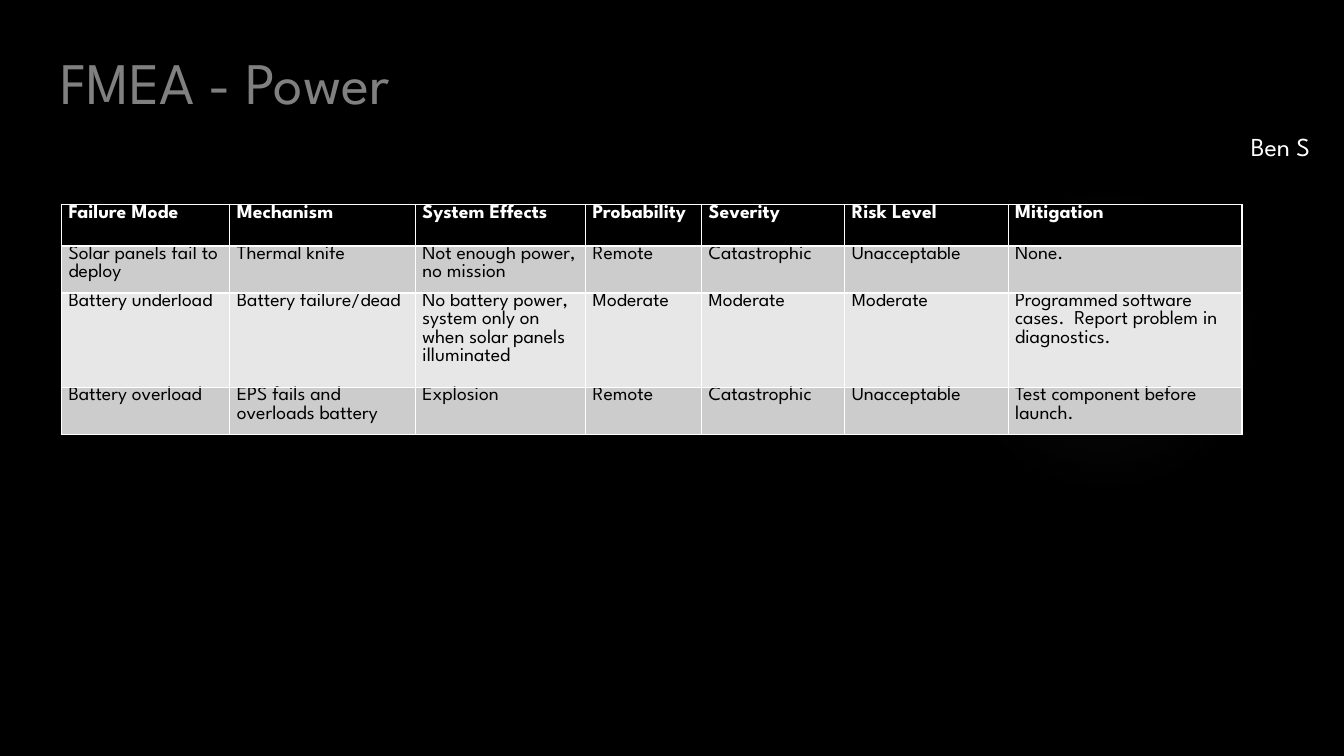
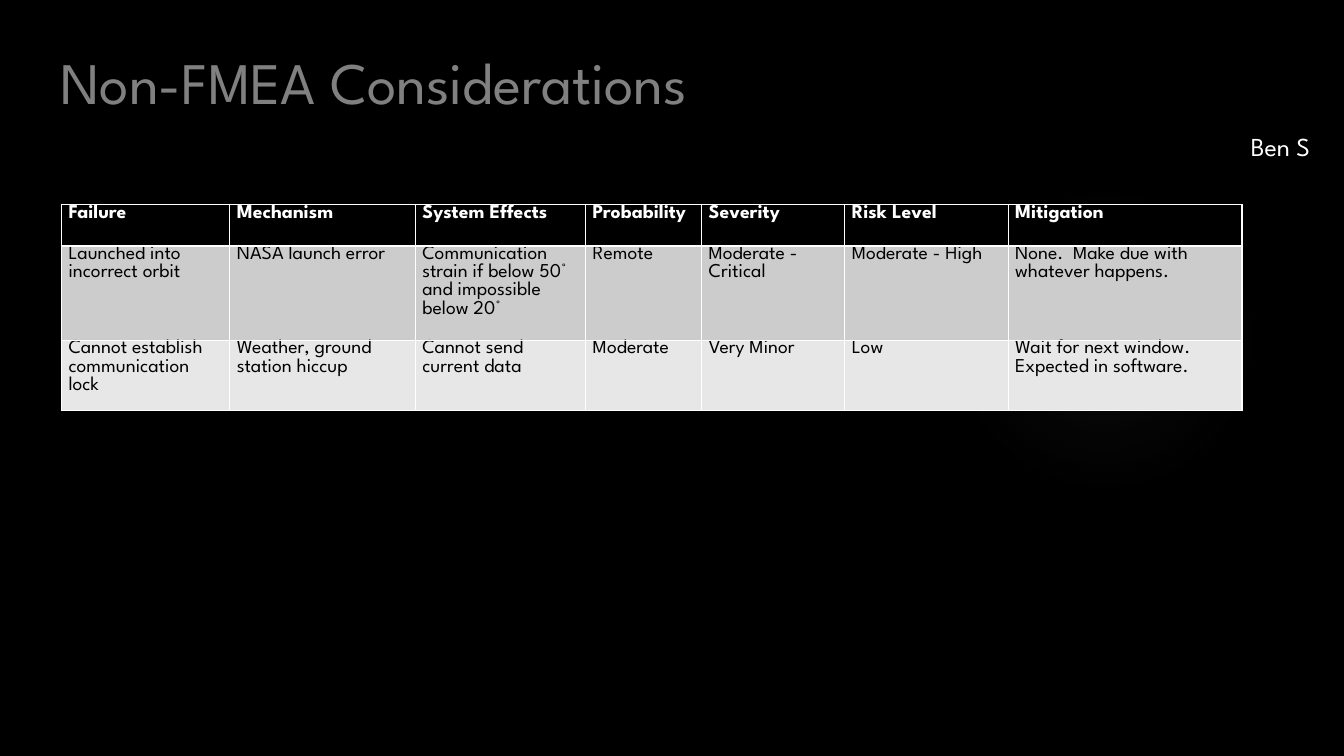
"""Build two failure-analysis slides, each with a title, a presenter and a table."""
from lxml.etree import SubElement
from pptx import Presentation
from pptx.dml.color import RGBColor
from pptx.enum.shapes import MSO_SHAPE
from pptx.enum.text import MSO_ANCHOR, PP_ALIGN
from pptx.oxml import parse_xml
from pptx.oxml.ns import nsdecls, qn
from pptx.util import Inches, Pt

BLACK = RGBColor(0x00, 0x00, 0x00)
WHITE = RGBColor(0xFF, 0xFF, 0xFF)
TITLE_GRAY = RGBColor(0x80, 0x80, 0x80)
GLOW_GRAY = RGBColor(0x66, 0x66, 0x66)
BANDS = (RGBColor(0xCC, 0xCC, 0xCC), RGBColor(0xE7, 0xE7, 0xE7))

PRESENTER = "Ben S"
SHARED_HEADINGS = ("Mechanism", "System Effects", "Probability", "Severity",
                   "Risk Level", "Mitigation")
PAGES = [
    {
        "title": "FMEA - Power",
        "first_heading": "Failure Mode",
        "rows": [
            ("Solar panels fail to deploy", "Thermal knife",
             "Not enough power, no mission", "Remote", "Catastrophic",
             "Unacceptable", "None."),
            ("Battery underload", "Battery failure/dead",
             "No battery power, system only on when solar panels illuminated",
             "Moderate", "Moderate", "Moderate",
             "Programmed software cases.  Report problem in diagnostics."),
            ("Battery overload", "EPS fails and overloads battery",
             "Explosion", "Remote", "Catastrophic", "Unacceptable",
             "Test component before launch."),
        ],
    },
    {
        "title": "Non-FMEA Considerations",
        "first_heading": "Failure",
        "rows": [
            ("Launched into incorrect orbit", "NASA launch error",
             "Communication strain if below 50° and impossible below 20°",
             "Remote", "Moderate - Critical", "Moderate - High",
             "None.  Make due with whatever happens."),
            ("Cannot establish communication lock",
             "Weather, ground station hiccup", "Cannot send current data",
             "Moderate", "Very Minor", "Low",
             "Wait for next window.  Expected in software."),
        ],
    },
]

FONT = "League Spartan"
TITLE_FONT = {"name": FONT, "size": Pt(42), "color": TITLE_GRAY}
PRESENTER_FONT = {"name": FONT, "size": Pt(18.5), "color": WHITE}
HEADING_FONT = {"name": FONT, "size": Pt(14), "color": WHITE, "bold": True}
BODY_FONT = {"name": FONT, "size": Pt(14), "color": BLACK, "bold": False}

TITLE_AREA = (0.5, 0.4, 10.29, 0.77)
PRESENTER_AREA = (11.43, 1.16, 1.66, 0.39)
GLOW_AREA = (9.41, 1.83, 3.08, 3.08)
TITLE_FRAME = {"word_wrap": True, "vertical_anchor": MSO_ANCHOR.BOTTOM,
               "margin_bottom": Inches(0.02)}
PRESENTER_FRAME = {"word_wrap": True, "margin_top": Inches(0.14),
                   "margin_bottom": 0}
CELL_FORMAT = {"margin_left": Inches(0.07), "margin_right": Inches(0.07),
               "margin_top": 0, "margin_bottom": 0}
GLOW_STOPS = ((0, 7), (36, 6), (69, 0))
TABLE_LEFT, TABLE_TOP = 0.61, 2.03
COLUMN_WIDTHS = (1.67, 1.84, 1.69, 1.15, 1.42, 1.62, 2.32)
ROW_HEIGHT = 0.41


def apply(target, values):
    for name, value in values.items():
        setattr(target, name, value)


def write(para, text, style):
    span = para.add_run()
    span.text = text
    for name, value in style.items():
        if name == "color":
            span.font.color.rgb = value
        else:
            setattr(span.font, name, value)


def add_text(page, area, text, style, frame, align=PP_ALIGN.LEFT):
    box = page.shapes.add_textbox(*map(Inches, area))
    apply(box.text_frame, frame)
    para = box.text_frame.paragraphs[0]
    para.alignment = align
    write(para, text, style)


def add_glow(page):
    glow = page.shapes.add_shape(MSO_SHAPE.OVAL, *map(Inches, GLOW_AREA))
    glow.shadow.inherit = False
    glow.line.fill.background()
    glow.fill.background()
    stops = "".join(
        f'<a:gs pos="{place * 1000}"><a:srgbClr val="{GLOW_GRAY}">'
        f'<a:alpha val="{opacity * 1000}"/></a:srgbClr></a:gs>'
        for place, opacity in GLOW_STOPS)
    gradient = parse_xml(
        f'<a:gradFill {nsdecls("a")}><a:gsLst>{stops}</a:gsLst>'
        '<a:path path="circle"><a:fillToRect l="50000" t="50000" '
        'r="50000" b="50000"/></a:path></a:gradFill>')
    properties = glow.element.spPr
    properties.replace(properties.find(qn("a:noFill")), gradient)


def add_borders(cell):
    properties = cell._tc.get_or_add_tcPr()
    for index, side in enumerate("LRTB"):
        line = SubElement(properties, qn(f"a:ln{side}"), w=str(Pt(1)))
        fill = SubElement(line, qn("a:solidFill"))
        SubElement(fill, qn("a:srgbClr"), val=str(WHITE))
        properties.insert(index, line)


def add_risk_table(page, rows):
    frame = page.shapes.add_table(
        len(rows), len(COLUMN_WIDTHS), Inches(TABLE_LEFT), Inches(TABLE_TOP),
        Inches(sum(COLUMN_WIDTHS)), Inches(ROW_HEIGHT * len(rows)))
    table = frame.table
    for column, width in zip(table.columns, COLUMN_WIDTHS):
        column.width = Inches(width)
    for number, texts in enumerate(rows):
        table.rows[number].height = Inches(ROW_HEIGHT)
        heading = number == 0
        for position, text in enumerate(texts):
            cell = table.cell(number, position)
            apply(cell, CELL_FORMAT)
            cell.fill.solid()
            cell.fill.fore_color.rgb = BLACK if heading else BANDS[(number - 1) % 2]
            add_borders(cell)
            write(cell.text_frame.paragraphs[0], text,
                  HEADING_FONT if heading else BODY_FONT)


def main():
    deck = Presentation()
    deck.slide_width, deck.slide_height = Inches(13.33), Inches(7.5)
    backdrop = deck.slide_master.background.fill
    backdrop.solid()
    backdrop.fore_color.rgb = BLACK
    for content in PAGES:
        page = deck.slides.add_slide(deck.slide_layouts[6])
        add_glow(page)
        add_text(page, TITLE_AREA, content["title"], TITLE_FONT, TITLE_FRAME)
        headings = (content["first_heading"], *SHARED_HEADINGS)
        add_risk_table(page, [headings, *content["rows"]])
        add_text(page, PRESENTER_AREA, PRESENTER, PRESENTER_FONT,
                 PRESENTER_FRAME, PP_ALIGN.RIGHT)
    deck.save("out.pptx")


if __name__ == "__main__":
    main()
